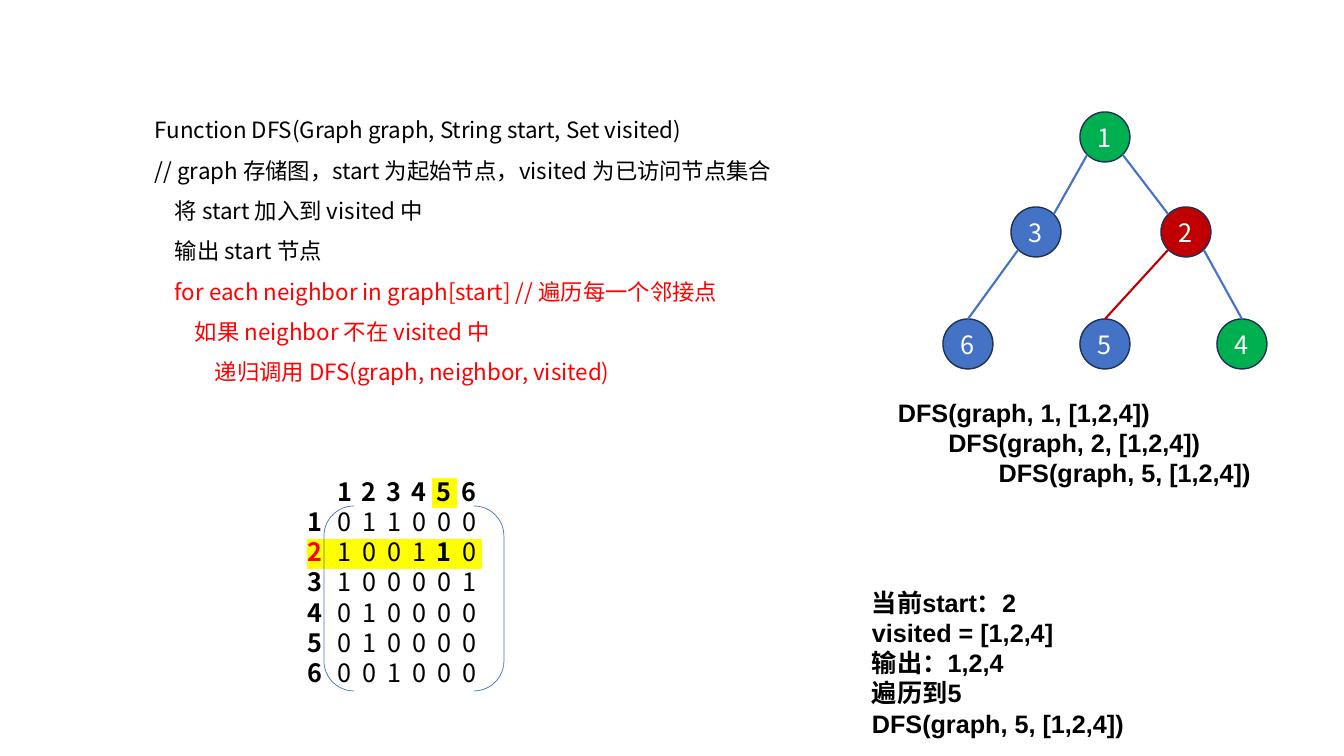
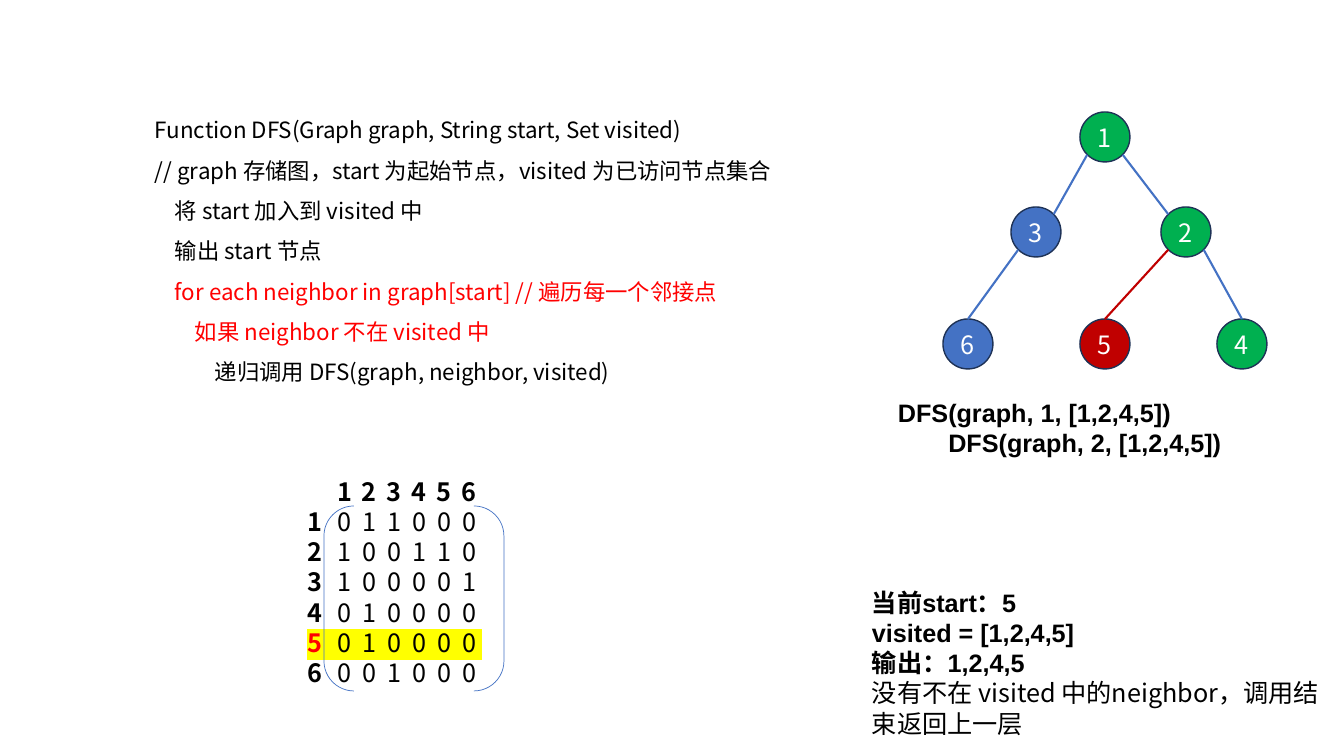
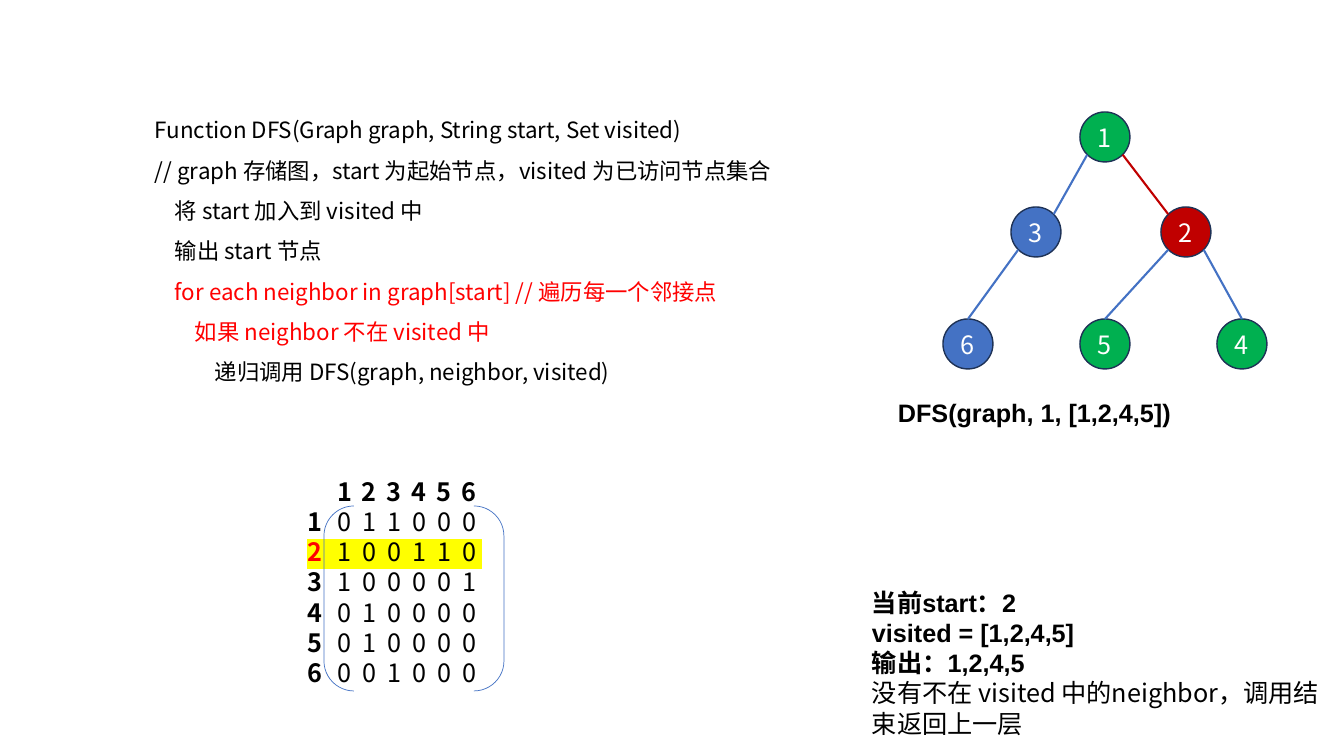
"""Build three slides that step through a depth-first search on a small tree."""
import pptx
import pptx.dml.color
import pptx.enum.shapes
import pptx.enum.text
import pptx.oxml.ns
import pptx.util
from lxml import etree

RGB = pptx.dml.color.RGBColor
SHAPE = pptx.enum.shapes.MSO_SHAPE
ALIGN = pptx.enum.text.PP_ALIGN
ANCHOR = pptx.enum.text.MSO_ANCHOR
qn = pptx.oxml.ns.qn

BLACK = RGB(0x00, 0x00, 0x00)
WHITE = RGB(0xFF, 0xFF, 0xFF)
RED = RGB(0xFF, 0x00, 0x00)
YELLOW = RGB(0xFF, 0xFF, 0x00)
BLUE = RGB(0x44, 0x72, 0xC4)
GREEN = RGB(0x00, 0xB0, 0x50)
DARK_RED = RGB(0xC0, 0x00, 0x00)
NAVY = RGB(0x1E, 0x32, 0x56)
SANS, ARIAL = "Noto Sans CJK SC", "Arial"
NO_TABLE_STYLE = "{2D5ABB26-0587-4C30-8999-92F81FD0307C}"
LINE_PITCH = 1.2

PSEUDOCODE = [
    "Function DFS(Graph graph, String start, Set visited)",
    "// graph 存储图，start 为起始节点，visited 为已访问节点集合",
    "    将 start 加入到 visited 中",
    "    输出 start 节点",
    "    for each neighbor in graph[start] // 遍历每一个邻接点",
    "        如果 neighbor 不在 visited 中",
    "            递归调用 DFS(graph, neighbor, visited)",
]
ADJACENCY = ["011000", "100110", "100001", "010000", "010000", "001000"]
NODE_CENTERS = {1: (1105, 137), 3: (1036, 232), 2: (1186, 232),
                6: (968, 344), 5: (1105, 344), 4: (1242, 344)}
EDGES = [(1, 3), (1, 2), (2, 4), (3, 6), (2, 5)]
NODE_RADIUS = 25
RETURN_NOTE = "没有不在 visited 中的neighbor，调用结束返回上一层"

STEPS = [
    {"start": 2, "visited": "1,2,4", "stack": [1, 2, 5], "edge": (2, 5),
     "red_lines": (4, 5, 6), "checked": 5,
     "actions": ["遍历到5", "DFS(graph, 5, [1,2,4])"], "note": []},
    {"start": 5, "visited": "1,2,4,5", "stack": [1, 2], "edge": (2, 5),
     "red_lines": (4, 5), "checked": None, "actions": [], "note": [RETURN_NOTE]},
    {"start": 2, "visited": "1,2,4,5", "stack": [1], "edge": (1, 2),
     "red_lines": (4, 5), "checked": None, "actions": [], "note": [RETURN_NOTE]},
]


def px(length):
    return pptx.util.Emu(round(length * 914400 / 100.8))


def box(*lengths):
    return [px(length) for length in lengths]


def style(paragraph, size=18, color=BLACK, bold=False, face=SANS, spacing=1):
    paragraph.line_spacing = pptx.util.Pt(round(size * LINE_PITCH * spacing, 2))
    font = paragraph.font
    font.size, font.bold, font.name = pptx.util.Pt(size), bold, face
    font.color.rgb = color
    latin = paragraph._p.pPr.find(qn("a:defRPr")).find(qn("a:latin"))
    east_asian = etree.Element(qn("a:ea"))
    east_asian.set("typeface", SANS)
    latin.addnext(east_asian)


def add_lines(slide, place, lines):
    frame = slide.shapes.add_textbox(*box(*place)).text_frame
    frame.word_wrap = True
    for index, (text, depth, look) in enumerate(lines):
        paragraph = frame.paragraphs[0] if index == 0 else frame.add_paragraph()
        paragraph.text = text
        if depth:
            paragraph._p.get_or_add_pPr().set("marL", str(depth * 457200))
        style(paragraph, **look)


def add_pseudocode(slide, step):
    add_lines(slide, (145, 98, 804, 295), [
        (line, 0, {"size": 16, "spacing": 1.5,
                   "color": RED if index in step["red_lines"] else BLACK})
        for index, line in enumerate(PSEUDOCODE)])


def add_state(slide, step):
    bold_arial = {"face": ARIAL, "bold": True}
    facts = [f"当前start：{step['start']}", f"visited = [{step['visited']}]",
             f"输出：{step['visited']}"] + step["actions"]
    add_lines(slide, (862, 582, 473, 162),
              [(fact, 0, bold_arial) for fact in facts]
              + [(note, 0, {}) for note in step["note"]])


def add_call_stack(slide, step):
    add_lines(slide, (888, 392, 391, 162), [
        (f"DFS(graph, {node}, [{step['visited']}])", depth,
         {"face": ARIAL, "bold": True})
        for depth, node in enumerate(step["stack"])])


def node_color(node, step):
    if node == step["start"]:
        return DARK_RED
    return GREEN if str(node) in step["visited"].split(",") else BLUE


def add_tree(slide, step):
    for node, (x, y) in NODE_CENTERS.items():
        circle = slide.shapes.add_shape(SHAPE.OVAL, *box(
            x - NODE_RADIUS, y - NODE_RADIUS, 2 * NODE_RADIUS, 2 * NODE_RADIUS))
        circle.shadow.inherit = False
        circle.fill.solid()
        circle.fill.fore_color.rgb = node_color(node, step)
        circle.line.color.rgb, circle.line.width = NAVY, pptx.util.Pt(1)
        frame = circle.text_frame
        frame.margin_left = frame.margin_right = frame.margin_top = frame.margin_bottom = 0
        frame.vertical_anchor = ANCHOR.MIDDLE
        label = frame.paragraphs[0]
        label.text, label.alignment = str(node), ALIGN.CENTER
        style(label, color=WHITE)

    parents = {parent for parent, _ in EDGES}
    corner = NODE_RADIUS * 0.71
    for parent, child in EDGES:
        (x1, y1), (x2, y2) = NODE_CENTERS[parent], NODE_CENTERS[child]
        side = corner if x2 > x1 else -corner
        end = (x2 - side, y2 - corner) if child in parents else (x2, y2 - NODE_RADIUS)
        edge = slide.shapes.add_connector(
            pptx.enum.shapes.MSO_CONNECTOR.STRAIGHT,
            *box(x1 + side, y1 + corner, *end))
        edge.line.color.rgb = DARK_RED if (parent, child) == step["edge"] else BLUE
        edge.line.width = pptx.util.Pt(1.5)
        etree.SubElement(edge._element.spPr, qn("a:effectLst"))


def add_matrix(slide, step):
    numbers = "123456"
    rows = [" " + numbers] + [name + row for name, row in zip(numbers, ADJACENCY)]
    size = len(rows)
    matrix = slide.shapes.add_table(size, size, *box(307, 478, 25 * size, 30 * size)).table
    matrix.first_row = matrix.horz_banding = False
    matrix._tbl.tblPr.find(qn("a:tableStyleId")).text = NO_TABLE_STYLE
    for index, row in enumerate(rows):
        matrix.rows[index].height = pptx.util.Pt(18 * LINE_PITCH)
        matrix.columns[index].width = px(25)
        current = index == step["start"]
        for column, digit in enumerate(row):
            cell = matrix.cell(index, column)
            cell.margin_left = cell.margin_right = cell.margin_top = cell.margin_bottom = 0
            checked = column == step["checked"] and (index == 0 or current)
            if current or checked:
                cell.fill.solid()
                cell.fill.fore_color.rgb = YELLOW
            else:
                cell.fill.background()
            entry = cell.text_frame.paragraphs[0]
            entry.text = digit.strip()
            entry.alignment = ALIGN.CENTER if column else ALIGN.LEFT
            style(entry, color=RED if current and column == 0 else BLACK,
                  bold=index == 0 or column == 0 or checked)

    brackets = slide.shapes.add_shape(SHAPE.DOUBLE_BRACKET, *box(324, 506, 180, 185))
    brackets.shadow.inherit = False
    brackets.fill.background()
    brackets.line.color.rgb, brackets.line.width = BLUE, pptx.util.Pt(0.5)


def main():
    deck = pptx.Presentation()
    deck.slide_width, deck.slide_height = box(1344, 756)
    for step in STEPS:
        slide = deck.slides.add_slide(deck.slide_layouts[6])
        for add_part in (add_pseudocode, add_state, add_tree, add_matrix, add_call_stack):
            add_part(slide, step)
    deck.save("out.pptx")


if __name__ == "__main__":
    main()
